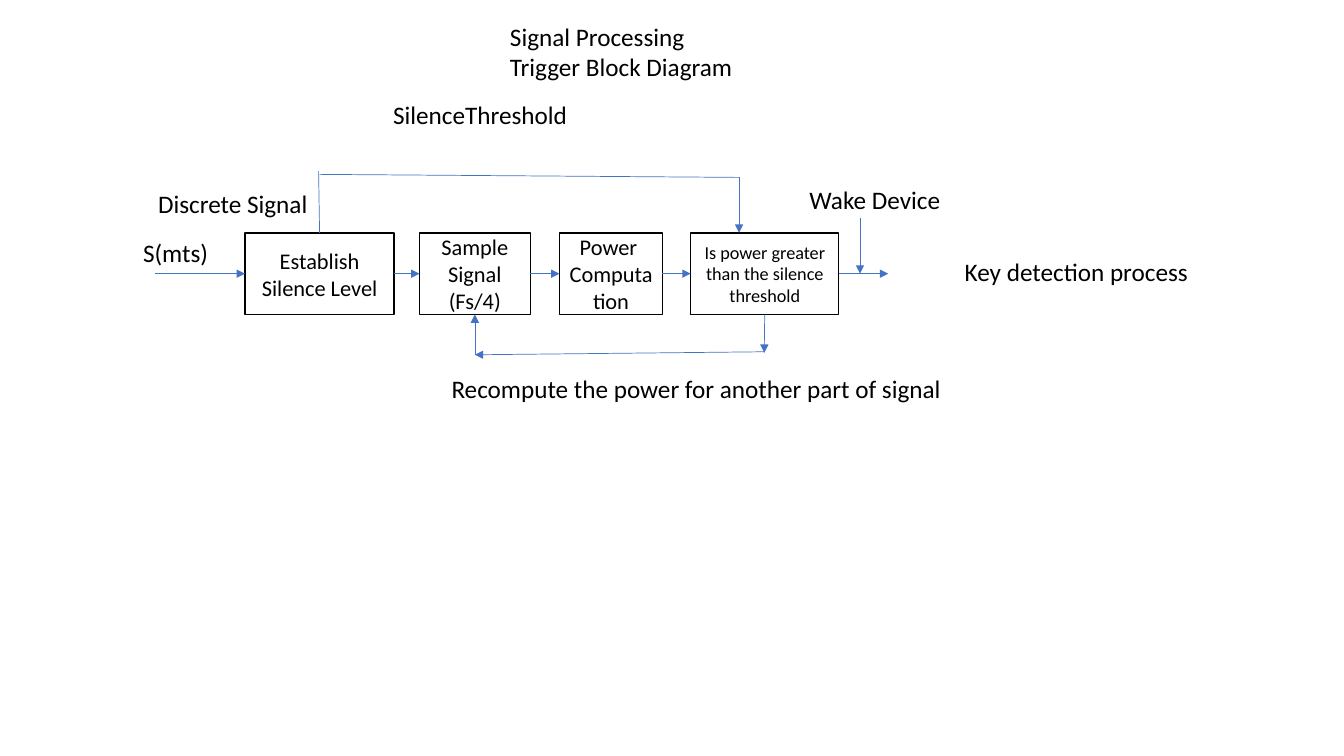
"""Builds the signal processing trigger block diagram slide."""
from lxml.etree import SubElement
from pptx import Presentation
from pptx.dml.color import RGBColor
from pptx.enum.shapes import MSO_CONNECTOR, MSO_SHAPE
from pptx.enum.text import MSO_ANCHOR, MSO_AUTO_SIZE, PP_ALIGN
from pptx.oxml.ns import qn
from pptx.util import Inches, Pt

COLORS = {"text": "000000", "box": "FFFFFF", "border": "000000", "arrow": "4472C4"}
FONT = "Calibri"
CELL = Inches(0.1)
BOX_ROW, BOX_ROWS = 23.1, 8.1
AXIS = BOX_ROW + BOX_ROWS / 2
TOP_LOOP, BOTTOM_LOOP = 17.6, 35.2
TOP, LEFT, BOTTOM, RIGHT = range(4)


def grid(*cells):
    return [round(c * CELL) for c in cells]


def write(tf, lines, size, aligns):
    for i, (line, align) in enumerate(zip(lines, aligns)):
        p = tf.paragraphs[0] if i == 0 else tf.add_paragraph()
        p.alignment = align
        r = p.add_run()
        r.text = line
        r.font.name = FONT
        r.font.size = Pt(size)
        r.font.color.rgb = RGBColor.from_string(COLORS["text"])


prs = Presentation()
prs.slide_width, prs.slide_height = Inches(13.33), Inches(7.5)
s = prs.slides.add_slide(prs.slide_layouts[6])

blocks = [
    ("level", 24.3, 14.8, 16, ["Establish Silence Level"]),
    ("sample", 41.6, 11, 16, ["Sample Signal (Fs/4)"]),
    ("power", 55.5, 10.2, 16, ["Power ", "Computation"]),
    ("decision", 68.5, 14.7, 13, ["Is power greater than the silence threshold"]),
]
boxes = {}
for name, col, cols, size, lines in blocks:
    sp = s.shapes.add_shape(MSO_SHAPE.RECTANGLE, *grid(col, BOX_ROW, cols, BOX_ROWS))
    sp.shadow.inherit = False
    sp.fill.solid()
    sp.fill.fore_color.rgb = RGBColor.from_string(COLORS["box"])
    sp.line.color.rgb = RGBColor.from_string(COLORS["border"])
    sp.line.width = Pt(1)
    tf = sp.text_frame
    tf.word_wrap = True
    tf.vertical_anchor = MSO_ANCHOR.MIDDLE
    write(tf, lines, size, [PP_ALIGN.CENTER] * len(lines))
    boxes[name] = sp

labels = [
    (49.6, 1.6, 24.3, 7.1, ["Signal Processing", "Trigger Block Diagram"]),
    (38, 9.4, 19.5, 4, ["SilenceThreshold"]),
    (14.7, 18.2, 17, 4, ["Discrete Signal"]),
    (13.2, 23.1, 8.5, 4, ["S(mts)"]),
    (79.3, 17.8, 15.1, 4, ["Wake Device"]),
    (94.7, 24.9, 24.4, 4, ["Key detection process"]),
    (43.8, 36.5, 51.2, 4, ["Recompute the power for another part of signal"]),
]
for col, row, cols, rows, lines in labels:
    tf = s.shapes.add_textbox(*grid(col, row, cols, rows)).text_frame
    tf.word_wrap = False
    tf.auto_size = MSO_AUTO_SIZE.SHAPE_TO_FIT_TEXT
    write(tf, lines, 18, [PP_ALIGN.LEFT, PP_ALIGN.CENTER])

links = [
    ((15.4, AXIS), ("level", LEFT), True),
    (("level", RIGHT), ("sample", LEFT), True),
    (("sample", RIGHT), ("power", LEFT), True),
    (("power", RIGHT), ("decision", LEFT), True),
    (("decision", RIGHT), (88.1, AXIS), True),
    (("level", TOP), (31.6, 17), False),
    ((31.7, 17.3), (73.3, TOP_LOOP), False),
    ((73.3, TOP_LOOP), (73.3, BOX_ROW), True),
    ((85.3, 21.6), (85.3, AXIS), True),
    (("decision", BOTTOM), (75.8, 35), True),
    ((75.8, 34.9), (47.1, BOTTOM_LOOP), True),
    ((47.1, BOTTOM_LOOP), ("sample", BOTTOM), True),
]
for start, end, arrow in links:
    ends = [(0, 0) if e[0] in boxes else e for e in (start, end)]
    cn = s.shapes.add_connector(MSO_CONNECTOR.STRAIGHT, *grid(*ends[0], *ends[1]))
    if start[0] in boxes:
        cn.begin_connect(boxes[start[0]], start[1])
    if end[0] in boxes:
        cn.end_connect(boxes[end[0]], end[1])
    cn.line.color.rgb = RGBColor.from_string(COLORS["arrow"])
    cn.line.width = Pt(0.5)
    if arrow:
        SubElement(cn.line._get_or_add_ln(), qn("a:tailEnd"), type="triangle")
    SubElement(cn._element.spPr, qn("a:effectLst"))

prs.save("out.pptx")
